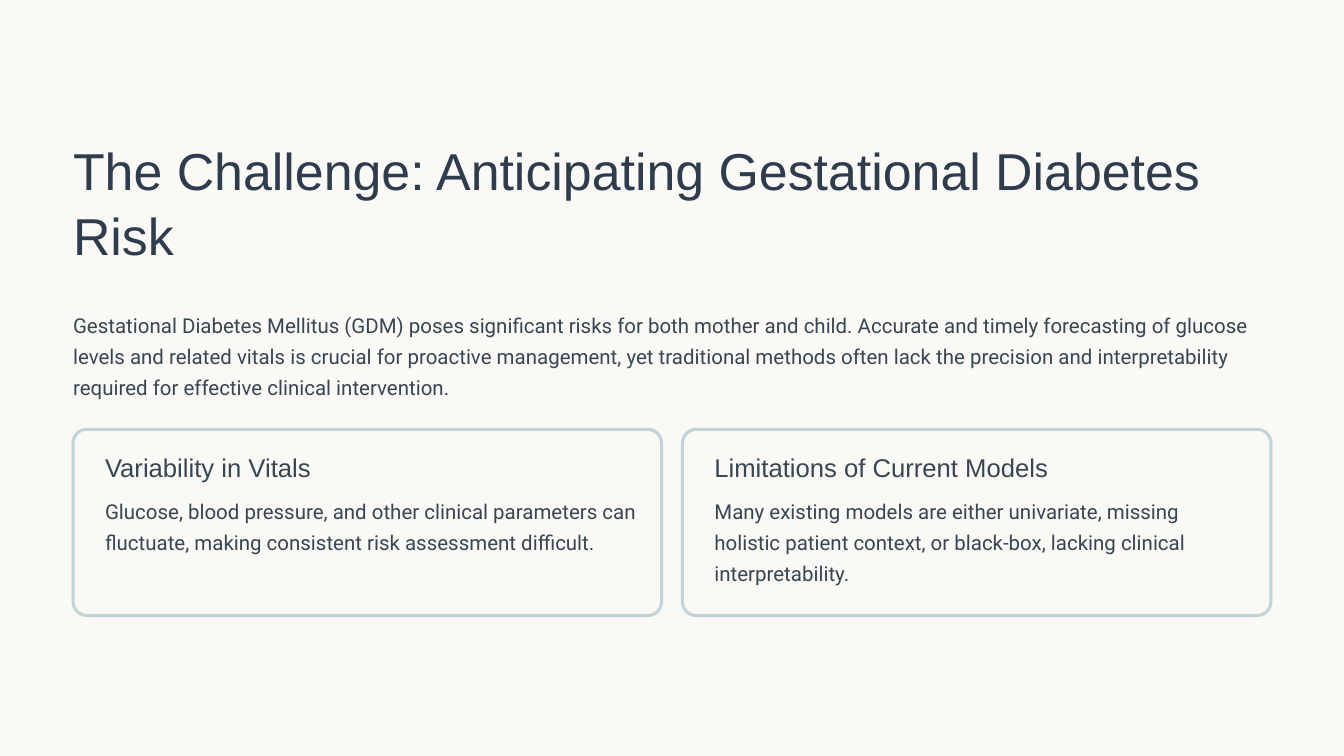
from pptx import Presentation
from pptx.dml.color import RGBColor
from pptx.enum.shapes import MSO_SHAPE
from pptx.util import Pt

# Content
TITLE = "The Challenge: Anticipating Gestational Diabetes Risk"
INTRO = (
    "Gestational Diabetes Mellitus (GDM) poses significant risks for both mother and child. "
    "Accurate and timely forecasting of glucose levels and related vitals is crucial for "
    "proactive management, yet traditional methods often lack the precision and "
    "interpretability required for effective clinical intervention."
)
CARDS = [
    ("Variability in Vitals",
     "Glucose, blood pressure, and other clinical parameters can fluctuate, "
     "making consistent risk assessment difficult."),
    ("Limitations of Current Models",
     "Many existing models are either univariate, missing holistic patient context, "
     "or black-box, lacking clinical interpretability."),
]

# Colours and text styles
CREAM = RGBColor(0xFA, 0xF9, 0xF5)
NAVY = RGBColor(0x2E, 0x3C, 0x4E)
SLATE = RGBColor(0x38, 0x46, 0x53)
PALE_BLUE = RGBColor(0xBF, 0xD3, 0xD8)

TITLE_STYLE = {"name": "Arial", "size": Pt(55.6), "color": NAVY, "spacing": Pt(69.4)}
HEADING_STYLE = {"name": "Arial", "size": Pt(27.5), "color": SLATE, "spacing": Pt(34.4)}
BODY_STYLE = {"name": "Roboto", "size": Pt(21.9), "color": SLATE, "spacing": Pt(33.1)}

# Layout, in points
SLIDE_WIDTH, SLIDE_HEIGHT = 1440, 810
MARGIN = 78.3
CONTENT_WIDTH = SLIDE_WIDTH - 2 * MARGIN
CARD_TOP, CARD_HEIGHT, CARD_GAP = 460, 199.5, 22.4
CARD_WIDTH = (CONTENT_WIDTH - CARD_GAP * (len(CARDS) - 1)) / len(CARDS)
CARD_RADIUS, CARD_BORDER = 14.7, 3.3
CARD_INDENT, CARD_TEXT_WIDTH = 34.2, 572


def add_text(slide, text, left, top, width, height, style):
    frame = slide.shapes.add_textbox(Pt(left), Pt(top), Pt(width), Pt(height)).text_frame
    frame.word_wrap = True
    for side in ("left", "top", "right", "bottom"):
        setattr(frame, f"margin_{side}", 0)
    paragraph = frame.paragraphs[0]
    paragraph.text = text
    paragraph.line_spacing = style["spacing"]
    for key in ("name", "size"):
        setattr(paragraph.font, key, style[key])
    paragraph.font.color.rgb = style["color"]


def add_card(slide, left, heading, body):
    card = slide.shapes.add_shape(MSO_SHAPE.ROUNDED_RECTANGLE, Pt(left), Pt(CARD_TOP),
                                  Pt(CARD_WIDTH), Pt(CARD_HEIGHT))
    card.adjustments[0] = CARD_RADIUS / CARD_HEIGHT
    card.shadow.inherit = False
    card.fill.solid()
    card.fill.fore_color.rgb = CREAM
    card.line.color.rgb = PALE_BLUE
    card.line.width = Pt(CARD_BORDER)
    text_left = left + CARD_INDENT
    add_text(slide, heading, text_left, CARD_TOP + 22.4, CARD_TEXT_WIDTH, 38, HEADING_STYLE)
    add_text(slide, body, text_left, CARD_TOP + 67.8, CARD_TEXT_WIDTH, 106.6, BODY_STYLE)


def main():
    presentation = Presentation()
    presentation.slide_width, presentation.slide_height = Pt(SLIDE_WIDTH), Pt(SLIDE_HEIGHT)
    slide = presentation.slides.add_slide(presentation.slide_layouts[6])
    slide.background.fill.solid()
    slide.background.fill.fore_color.rgb = CREAM

    # Title and introduction
    add_text(slide, TITLE, MARGIN, 146.2, CONTENT_WIDTH, 144, TITLE_STYLE)
    add_text(slide, INTRO, MARGIN, 328.3, CONTENT_WIDTH, 106.6, BODY_STYLE)

    # Row of equal cards
    for index, (heading, body) in enumerate(CARDS):
        add_card(slide, MARGIN + index * (CARD_WIDTH + CARD_GAP), heading, body)

    presentation.save("out.pptx")


if __name__ == "__main__":
    main()
